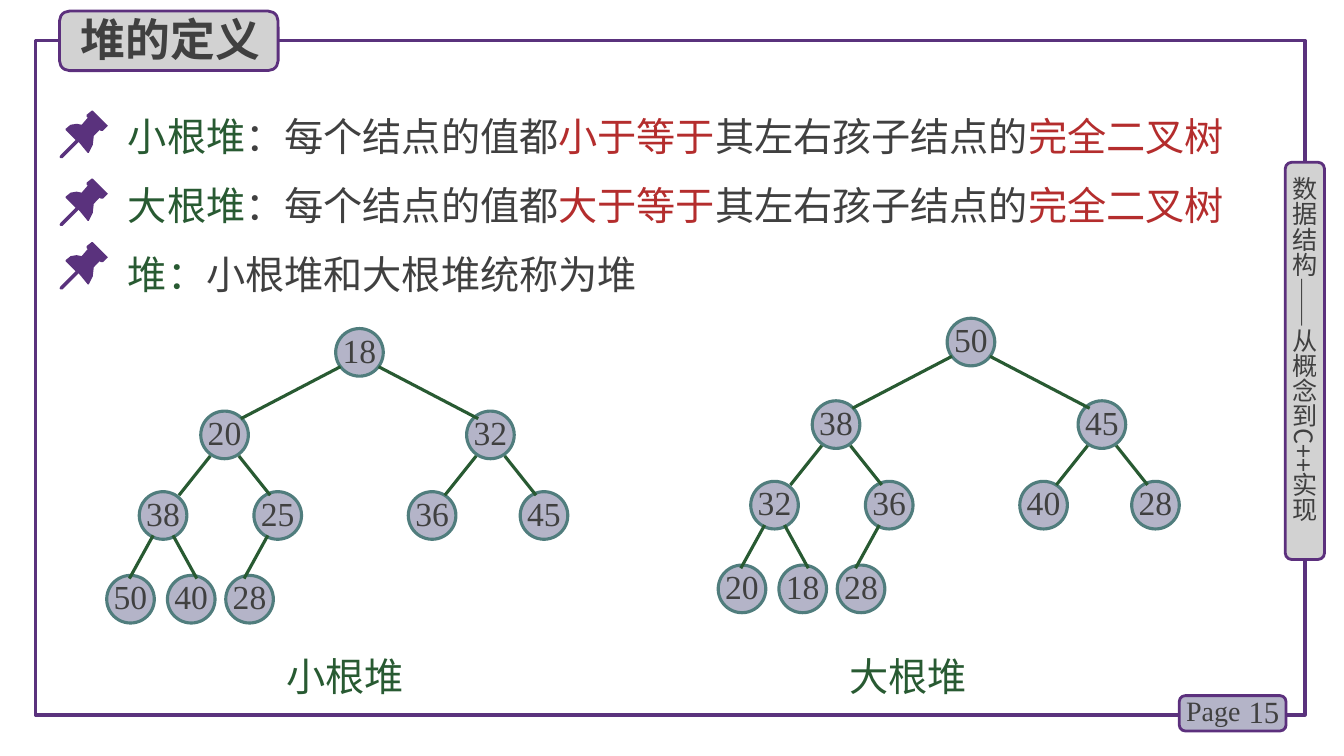
from lxml import etree
from pptx import Presentation
from pptx.dml.color import RGBColor
from pptx.enum.shapes import MSO_CONNECTOR, MSO_SHAPE
from pptx.enum.text import MSO_ANCHOR, MSO_AUTO_SIZE, PP_ALIGN
from pptx.oxml.ns import qn
from pptx.util import Cm, Pt

RECT, ROUND, OVAL = MSO_SHAPE.RECTANGLE, MSO_SHAPE.ROUNDED_RECTANGLE, MSO_SHAPE.OVAL
STRAIGHT = MSO_CONNECTOR.STRAIGHT
LEFT, CENTER, RIGHT = PP_ALIGN.LEFT, PP_ALIGN.CENTER, PP_ALIGN.RIGHT
TOP, MIDDLE = MSO_ANCHOR.TOP, MSO_ANCHOR.MIDDLE
NO_FIT = MSO_AUTO_SIZE.NONE

SERIF, SANS = "Times New Roman", "Noto Sans CJK SC"
PURPLE, TAB_LINE, GRAY, LILAC = "5A327D", "5C307D", "D2D2D2", "B4B4C8"
INK, GREEN, RED, TEAL = "404040", "285A32", "B42D2D", "507D7D"

PIN = [(33, 0), (32, 0), (27, 4), (27, 6), (28, 7), (22, 14), (17, 13), (11, 14),
       (6, 18), (6, 19), (16, 29), (1, 44), (0, 46), (1, 47), (3, 47), (19, 31),
       (28, 42), (29, 42), (33, 34), (34, 25), (40, 19), (41, 20), (43, 20),
       (48, 15), (47, 14)]
NODE_SIZE = 1.2
LEVEL_Y = [0, 2.08, 4.11, 6.22]
NODE_X = [0, -3.4, 3.3, -4.95, -2.06, 1.83, 4.65, -5.77, -4.24, -2.77]
EDGES = [((0.48, 0.36), (2.51, 1.31)),
         ((0.36, 0.53), (0.79, 0.99)),
         ((0.25, 0.5), (0.6, 1.09))]


def color(hex_string):
    return RGBColor.from_string(hex_string)


def level_of(index):
    return (index + 1).bit_length() - 1


class HeapSlide:
    def __init__(self, deck):
        self.slide = deck.slides.add_slide(deck.slide_layouts[1])
        self.shapes = self.slide.shapes

    def style(self, paragraph, size, ink=INK, face=SERIF, bold=False,
              align=LEFT, spacing=None):
        paragraph.alignment = align
        if spacing:
            paragraph.line_spacing = Pt(spacing)
        font = paragraph.font
        font.name, font.size, font.bold = face, Pt(size), bold
        font.color.rgb = color(ink)
        defaults = paragraph._p.pPr.find(qn("a:defRPr"))
        etree.SubElement(defaults, qn("a:ea")).set("typeface", SANS)

    def place(self, holder, box, anchor=TOP):
        holder.left, holder.top, holder.width, holder.height = map(Cm, box)
        frame = holder.text_frame
        frame.auto_size, frame.word_wrap = NO_FIT, True
        frame.vertical_anchor = anchor
        return frame

    def title(self, words, box):
        holder = self.shapes.title
        frame = self.place(holder, box)
        frame.text = words
        self.style(frame.paragraphs[0], 32, face=SANS, bold=True)
        self.shapes._spTree.append(holder._element)

    def definitions(self, entries, box):
        frame = self.place(self.slide.placeholders[1], box)
        for index, entry in enumerate(entries):
            paragraph = frame.paragraphs[0] if index == 0 else frame.add_paragraph()
            properties = paragraph._p.get_or_add_pPr()
            properties.set("marL", "0")
            properties.set("indent", "0")
            etree.SubElement(properties, qn("a:buNone"))
            self.style(paragraph, 28, spacing=40)
            paragraph.space_before = Pt(9 if index else 0)
            for words, ink in entry:
                run = paragraph.add_run()
                run.text = words
                run.font.color.rgb = color(ink)

    def panel(self, kind, box, line, width, fill=None):
        panel = self.shapes.add_shape(kind, *map(Cm, box))
        panel.shadow.inherit = False
        if fill:
            panel.fill.solid()
            panel.fill.fore_color.rgb = color(fill)
        else:
            panel.fill.background()
        panel.line.color.rgb = color(line)
        panel.line.width = Pt(width)
        return panel

    def label(self, words, box, size, anchor=TOP, vertical=False, **style):
        frame = self.place(self.shapes.add_textbox(0, 0, 0, 0), box, anchor)
        if vertical:
            self.clear_margins(frame)
            frame._txBody.bodyPr.set("vert", "eaVert")
        frame.text = words
        self.style(frame.paragraphs[0], size, **style)

    def clear_margins(self, frame):
        frame.margin_left = frame.margin_right = 0
        frame.margin_top = frame.margin_bottom = 0

    def pin(self, left, top):
        outline = self.shapes.build_freeform(*PIN[0], scale=Cm(0.0254))
        outline.add_line_segments(PIN[1:], close=True)
        pin = outline.convert_to_shape(Cm(left), Cm(top))
        pin.shadow.inherit = False
        pin.fill.solid()
        pin.fill.fore_color.rgb = color(PURPLE)
        pin.line.fill.background()

    def node(self, value, x, y):
        corner = NODE_SIZE / 2
        box = (x - corner, y - corner, NODE_SIZE, NODE_SIZE)
        frame = self.panel(OVAL, box, TEAL, 2.25, LILAC).text_frame
        self.clear_margins(frame)
        frame.word_wrap = False
        frame.vertical_anchor = MIDDLE
        frame.text = str(value)
        self.style(frame.paragraphs[0], 24, align=CENTER, spacing=25)

    def edge(self, x, y, level, side):
        (start_x, start_y), (span_x, span_y) = EDGES[level]
        x, y = x + side * start_x, y + start_y
        ends = (x, y, x + side * span_x, y + span_y)
        edge = self.shapes.add_connector(STRAIGHT, *map(Cm, ends))
        edge.line.color.rgb = color(GREEN)
        edge.line.width = Pt(2.25)
        etree.SubElement(edge._element.spPr, qn("a:effectLst"))

    def heap(self, values, root_x, root_y):
        centers = [(root_x + x, root_y + LEVEL_Y[level_of(index)])
                   for index, x in enumerate(NODE_X)]
        for value, center in zip(values, centers):
            self.node(value, *center)
        for child in range(1, len(values)):
            parent = (child - 1) // 2
            self.edge(*centers[parent], level_of(parent), -1 if child % 2 else 1)


def main():
    deck = Presentation()
    deck.slide_width, deck.slide_height = Cm(33.87), Cm(19.05)
    page = HeapSlide(deck)

    page.panel(RECT, (0.89, 1.02, 32, 17), PURPLE, 2.25)
    page.panel(ROUND, (29.72, 17.53, 2.69, 0.89), TAB_LINE, 2, LILAC)
    page.label("15", (30.99, 17.42, 1.5, 1.02), 22, MIDDLE, align=RIGHT)
    page.label("Page", (29.64, 17.35, 1.98, 1.12), 20)
    page.panel(ROUND, (32.39, 4.09, 0.99, 10.01), TAB_LINE, 2, GRAY)
    page.label("数据结构——从概念到C++实现", (32.49, 4.45, 0.76, 9.6), 18,
               vertical=True, face=SANS)
    page.panel(ROUND, (1.5, 0.28, 5.51, 1.5), TAB_LINE, 2, GRAY)
    page.title("堆的定义", (1.78, 0.18, 5.08, 1.63))

    entries = [[(name, GREEN), ("：每个结点的值都", INK), (relation, RED),
                ("其左右孩子结点的", INK), ("完全二叉树", RED)]
               for name, relation in (("小根堆", "小于等于"), ("大根堆", "大于等于"))]
    entries.append([("堆：", GREEN), ("小根堆和大根堆统称为堆", INK)])
    page.definitions(entries, (2.97, 2.49, 28.63, 5.1))
    for top in (2.79, 4.5, 6.1):
        page.pin(1.5, top)

    heaps = [("小根堆", [18, 20, 32, 38, 25, 36, 45, 50, 40, 28], 9.06, 8.88, 8.7),
             ("大根堆", [50, 38, 45, 32, 36, 40, 28, 20, 18, 28], 24.47, 8.62, 22.89)]
    for name, values, root_x, root_y, caption_x in heaps:
        page.heap(values, root_x, root_y)
        page.label(name, (caption_x - 2.5, 16.08, 5, 1.67), 28,
                   ink=GREEN, align=CENTER, spacing=40)

    deck.save("out.pptx")


if __name__ == "__main__":
    main()
